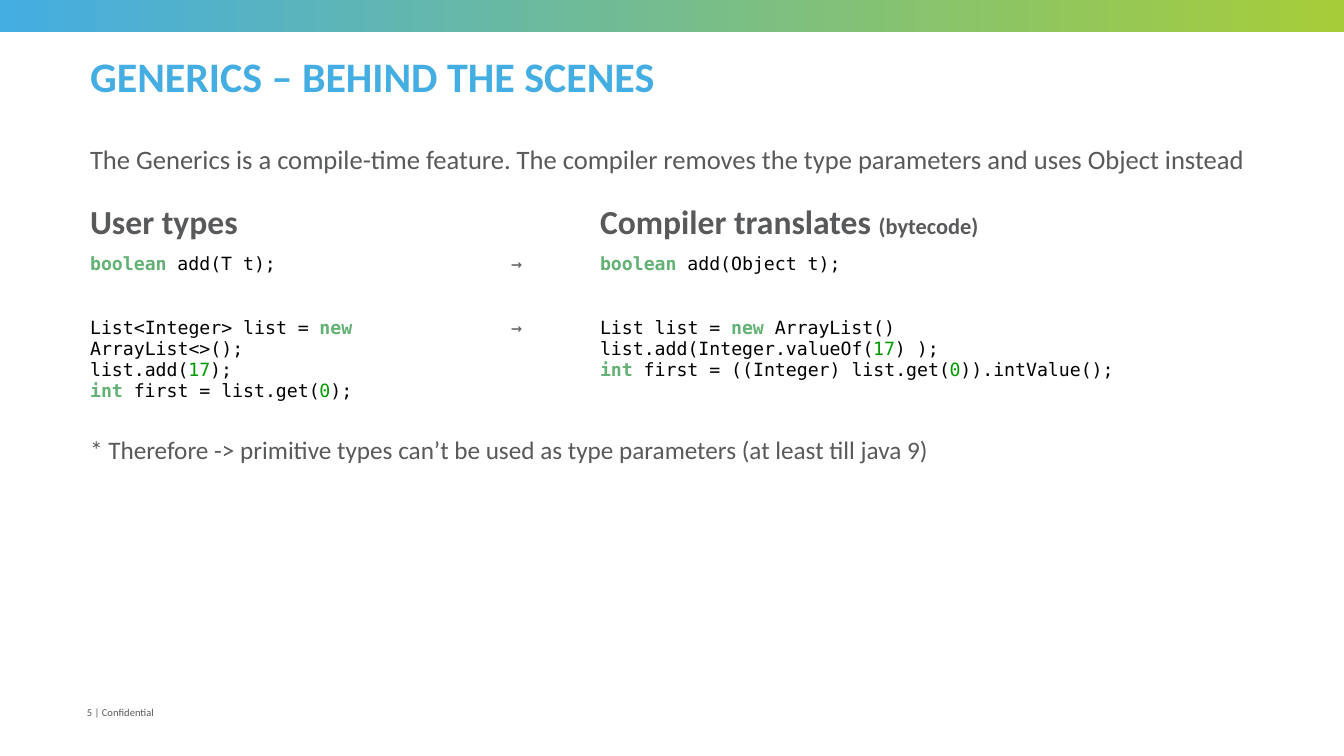
from pptx import Presentation
from pptx import util as u
from pptx.dml.color import RGBColor
from pptx.enum import shapes, text
from pptx.oxml.ns import qn

PX = 914400 / 100.8
BLUE = RGBColor(0x44, 0xAD, 0xE2)
LIME = RGBColor(0xA6, 0xCD, 0x39)
GRAY = RGBColor(0x58, 0x59, 0x5B)
BLACK = RGBColor(0x00, 0x00, 0x00)
KEYWORD = RGBColor(0x63, 0xB1, 0x75)
NUMBER = RGBColor(0x00, 0x99, 0x00)
SANS, MONO = "Calibri", "DejaVu Sans Mono"


def px(*lengths):
    """Turn pixel lengths into EMU."""
    return [u.Emu(round(length * PX)) for length in lengths]


def add_span(para, words, size=13, font=MONO, color=BLACK, bold=False):
    span = para.add_run()
    span.text = words
    span.font.size = u.Pt(size)
    span.font.name = font
    span.font.color.rgb = color
    span.font.bold = bold


deck = Presentation()
deck.slide_width, deck.slide_height = px(1344, 756)
page = deck.slides.add_slide(deck.slide_layouts[1])

# Gradient band along the top
band = page.shapes.add_shape(shapes.MSO_SHAPE.RECTANGLE, *px(0, 0, 1344, 32))
band.shadow.inherit = False
band.line.fill.background()
band.fill.gradient()
band.fill.gradient_angle = 0
for stop, color, position in zip(band.fill.gradient_stops, (BLUE, LIME), (0, 1)):
    stop.color.rgb = color
    stop.position = position

# Title and body
title, body = page.placeholders
title.left, title.top, title.width, title.height = px(80, 49, 1187, 59)
body.left, body.top, body.width, body.height = px(80, 141, 1187, 518)
for box, anchor in ((title, text.MSO_ANCHOR.MIDDLE), (body, text.MSO_ANCHOR.TOP)):
    box.text_frame.auto_size = text.MSO_AUTO_SIZE.NONE
    box.text_frame.vertical_anchor = anchor

heading = title.text_frame.paragraphs[0]
heading.alignment = text.PP_ALIGN.LEFT
heading.line_spacing = 0.9
add_span(heading, "GENERICS – BEHIND THE SCENES", size=30, font=SANS, color=BLUE, bold=True)

statements = [
    ("The Generics is a compile-time feature. The compiler removes the type parameters"
     " and uses Object instead", 19, 0),
    ("* Therefore -> primitive types can’t be used as type parameters (at least till java 9)",
     18, 188),
]
for index, (words, size, gap) in enumerate(statements):
    para = body.text_frame.add_paragraph() if index else body.text_frame.paragraphs[0]
    para.line_spacing = 0.9
    para.space_before = u.Pt(gap)
    properties = para._p.get_or_add_pPr()
    properties.set("marL", "0")
    properties.set("indent", "0")
    properties.append(properties.makeelement(qn("a:buNone"), {}))
    add_span(para, words, size=size, font=SANS, color=GRAY)

# Page footer
footer = page.shapes.add_textbox(*px(77, 701, 302, 22)).text_frame
footer.word_wrap = True
footer.vertical_anchor = text.MSO_ANCHOR.MIDDLE
add_span(footer.paragraphs[0], "5 | Confidential", size=7.5, font=SANS, color=GRAY)

# Source code beside its translation: each cell holds lines, each line holds spans
header = dict(size=24, font=SANS, color=GRAY, bold=True)
keyword = dict(color=KEYWORD, bold=True)
number = dict(color=NUMBER)
code = {}
arrow = [[("→", dict(color=GRAY))]]
rows = [
    [[[("User types", header)]],
     [],
     [[("Compiler translates ", header), ("(bytecode)", {**header, "size": 16})]]],
    [[[("boolean ", keyword), ("add(T t);", code)]],
     arrow,
     [[("boolean ", keyword), ("add(Object t);", code)]]],
    [[], [], []],
    [[[("List<Integer> list = ", code), ("new ", keyword), ("ArrayList<>();", code)],
      [("list.add(", code), ("17", number), (");", code)],
      [("int ", keyword), ("first = list.get(", code), ("0", number), (");", code)]],
     arrow,
     [[("List list = ", code), ("new ", keyword), ("ArrayList()", code)],
      [("list.add(Integer.valueOf(", code), ("17", number), (") );", code)],
      [("int ", keyword), ("first = ((Integer) list.get(", code), ("0", number),
       (")).intValue();", code)]]],
]
table = page.shapes.add_table(4, 3, *px(80, 198, 1067, 208)).table
table.first_row = table.horz_banding = False
for column, width in zip(table.columns, px(421, 89, 557)):
    column.width = width
for row, height in zip(table.rows, px(51, 31, 31, 95)):
    row.height = height
for row, contents in zip(table.rows, rows):
    for cell, lines in zip(row.cells, contents):
        cell.fill.background()
        frame = cell.text_frame
        if not lines:
            frame.paragraphs[0]._p.get_or_add_endParaRPr().set("sz", "1300")
        for index, line in enumerate(lines):
            para = frame.add_paragraph() if index else frame.paragraphs[0]
            for words, style in line:
                add_span(para, words, **style)

deck.save("out.pptx")
